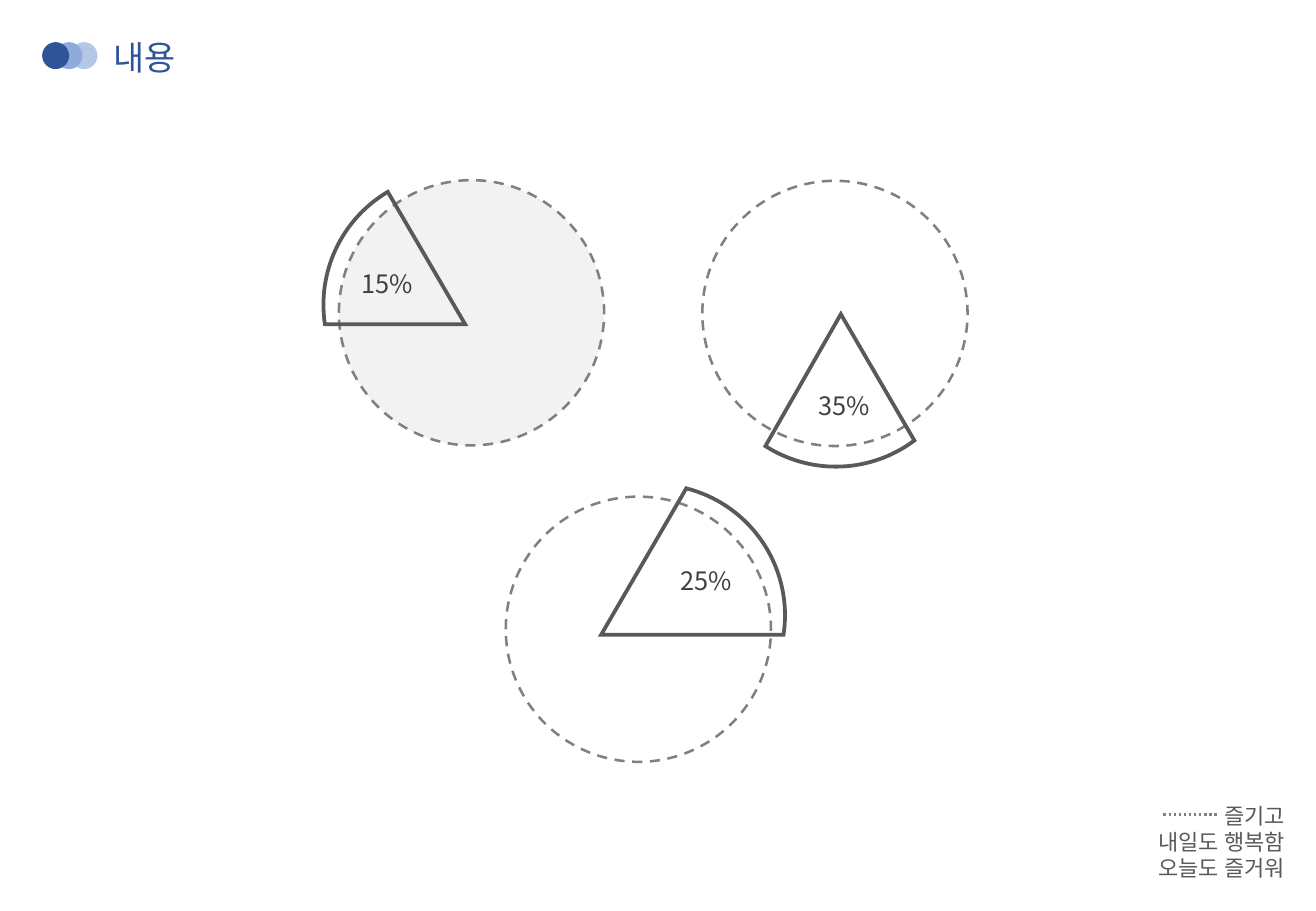
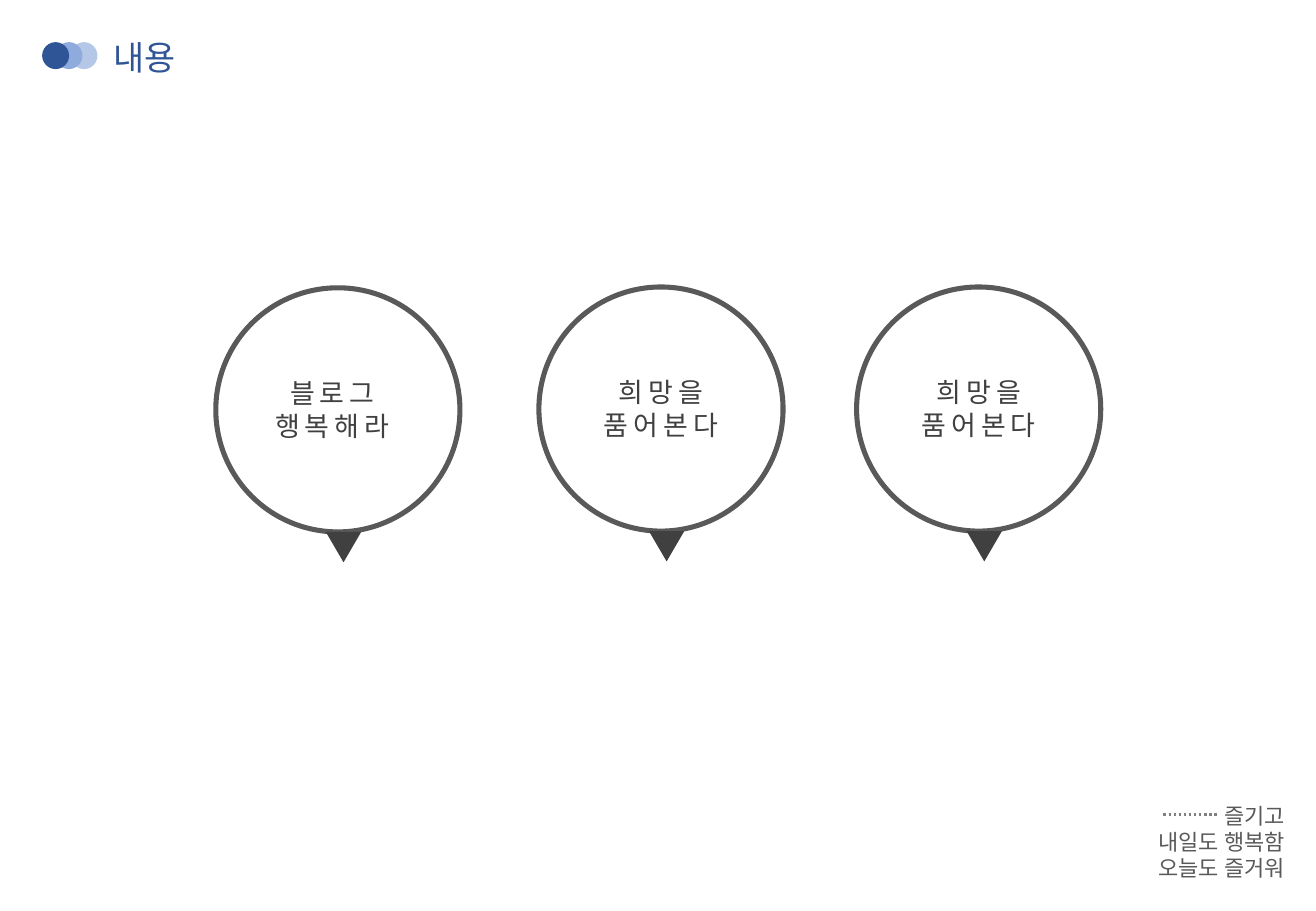
"""Build two slides: three circles with percentage wedges, and three speech circles."""
from itertools import pairwise
from math import cos, radians, sin, tan

from lxml.etree import SubElement
from pptx import Presentation
from pptx.dml.color import RGBColor
from pptx.enum.dml import MSO_LINE_DASH_STYLE as Dash
from pptx.enum.lang import MSO_LANGUAGE_ID as Language
from pptx.enum.shapes import MSO_CONNECTOR, MSO_SHAPE as Preset
from pptx.enum.text import MSO_AUTO_SIZE as AutoSize, PP_ALIGN as Align
from pptx.oxml.ns import qn
from pptx.util import Pt

FONT = "Noto Sans CJK KR"
COLORS = {
    "navy": "2F5597",
    "blue": "8FAADC",
    "pale_blue": "B4C7E7",
    "charcoal": "404040",
    "dark_gray": "595959",
    "gray": "808080",
    "light_gray": "F2F2F2",
}
STYLES = {
    "title": {"size": 20, "color": "navy", "paragraph": {"alignment": Align.LEFT}},
    "footer": {"size": 13, "color": "dark_gray", "paragraph": {"alignment": Align.RIGHT}},
    "percent": {"size": 15, "color": "charcoal",
                "paragraph": {"alignment": Align.CENTER, "line_spacing": 1.5}},
    "message": {"size": 16, "color": "charcoal", "spacing": 300,
                "paragraph": {"alignment": Align.CENTER}},
}


def paint(shape, fill=None, line=None, width=0, dash=None):
    shape.shadow.inherit = False
    if fill:
        shape.fill.solid()
        shape.fill.fore_color.rgb = RGBColor.from_string(COLORS[fill])
    else:
        shape.fill.background()
    if line:
        shape.line.color.rgb = RGBColor.from_string(COLORS[line])
        shape.line.width = Pt(width)
        shape.line.dash_style = dash
    else:
        shape.line.fill.background()


def write(slide, left, top, width, height, lines, style):
    frame = slide.shapes.add_textbox(Pt(left), Pt(top), Pt(width), Pt(height)).text_frame
    frame.word_wrap = True
    frame.auto_size = AutoSize.SHAPE_TO_FIT_TEXT
    font_format = {"name": FONT, "size": Pt(style["size"]), "language_id": Language.KOREAN}
    for number, text in enumerate(lines):
        paragraph = frame.add_paragraph() if number else frame.paragraphs[0]
        for key, value in style["paragraph"].items():
            setattr(paragraph, key, value)
        run = paragraph.add_run()
        run.text = text
        for key, value in font_format.items():
            setattr(run.font, key, value)
        run.font.color.rgb = RGBColor.from_string(COLORS[style["color"]])
        properties = run._r.get_or_add_rPr()
        SubElement(properties, qn("a:ea"), typeface=FONT)
        if "spacing" in style:
            properties.set("spc", str(style["spacing"]))


deck = Presentation()
deck.slide_width, deck.slide_height = Pt(780), Pt(540)
wedge_slide, message_slide = [deck.slides.add_slide(deck.slide_layouts[6]) for _ in range(2)]

for slide in (wedge_slide, message_slide):
    for left, color in ((41.8, "pale_blue"), (32.9, "blue"), (25, "navy")):
        dot = slide.shapes.add_shape(Preset.OVAL, Pt(left), Pt(25), Pt(16), Pt(16))
        paint(dot, color)
    write(slide, 60.3, 18, 377, 31.5, ["내용"], STYLES["title"])
    write(slide, 654.9, 471.9, 113.8, 54.7,
          ["즐기고", "내일도 행복함", "오늘도 즐거워"], STYLES["footer"])
    footer_rule = slide.shapes.add_connector(
        MSO_CONNECTOR.STRAIGHT, Pt(689.6), Pt(482.8), Pt(721.6), Pt(482.8))
    footer_rule.line.color.rgb = RGBColor.from_string(COLORS["gray"])
    footer_rule.line.width = Pt(1.5)
    footer_rule.line.dash_style = Dash.ROUND_DOT
    SubElement(footer_rule._element.spPr, qn("a:effectLst"))

CIRCLE_SIZE = 157.2
ARC_RADIUS = 77.7
wedges = [
    {"circle": (200.9, 106.8), "fill": "light_gray", "apex": (275.7, 192.2),
     "center": (269.4, 180.6), "angles": (171.4, 180, 239.4),
     "label": "15%", "label_at": (169.2, 146.5)},
    {"circle": (416.3, 107.2), "fill": None, "apex": (498.4, 186.2),
     "center": (495.4, 198.9), "angles": (53.2, 90, 122.5),
     "label": "35%", "label_at": (439.9, 218.9)},
    {"circle": (299.8, 294.4), "fill": None, "apex": (356.3, 376.3),
     "center": (387.6, 364.8), "angles": (-75.7, 0, 8.5),
     "label": "25%", "label_at": (358.3, 322.6)},
]
for wedge in wedges:
    left, top = wedge["circle"]
    circle = wedge_slide.shapes.add_shape(
        Preset.OVAL, Pt(left), Pt(top), Pt(CIRCLE_SIZE), Pt(CIRCLE_SIZE))
    paint(circle, wedge["fill"], "gray", 1.5, Dash.DASH)

    center_x, center_y = wedge["center"]
    angles = [radians(angle) for angle in wedge["angles"]]
    arc = [(cos(angles[0]), sin(angles[0]))]
    for start, end in pairwise(angles):
        pull = 4 / 3 * tan((end - start) / 4)
        arc += [(cos(start) - pull * sin(start), sin(start) + pull * cos(start)),
                (cos(end) + pull * sin(end), sin(end) - pull * cos(end)),
                (cos(end), sin(end))]
    apex_x, apex_y = wedge["apex"]
    builder = wedge_slide.shapes.build_freeform(Pt(apex_x), Pt(apex_y))
    builder.add_line_segments(
        [(Pt(center_x + ARC_RADIUS * x), Pt(center_y + ARC_RADIUS * y)) for x, y in arc])
    sector = builder.convert_to_shape()
    paint(sector, None, "dark_gray", 2.25)
    SubElement(sector.line._get_or_add_ln(), qn("a:miter"), lim="800000")

    outline = next(sector._element.iter(qn("a:path")))
    segments = outline.findall(qn("a:lnTo"))[1:]
    for first in range(0, len(segments), 3):
        curve = SubElement(outline, qn("a:cubicBezTo"))
        for segment in segments[first:first + 3]:
            curve.append(segment[0])
            outline.remove(segment)
    for closing in outline.findall(qn("a:close")):
        outline.remove(closing)
    SubElement(outline, qn("a:close"))

    write(wedge_slide, *wedge["label_at"], 121, 34.6, [wedge["label"]], STYLES["percent"])

BUBBLE_SIZE = 144.7
hope = ["희망을", "품어본다"]
bubbles = [
    (127.9, 170.6, 115.6, ["블로그", "행복해라"]),
    (319.4, 170.1, 310.4, hope),
    (507.7, 170.1, 498.8, hope),
]
for left, top, message_left, message in bubbles:
    bubble = message_slide.shapes.add_shape(
        Preset.OVAL, Pt(left), Pt(top), Pt(BUBBLE_SIZE), Pt(BUBBLE_SIZE))
    paint(bubble, None, "dark_gray", 3)
    pointer = message_slide.shapes.add_shape(
        Preset.ISOSCELES_TRIANGLE, Pt(left + 65.2), Pt(top + BUBBLE_SIZE), Pt(21), Pt(18))
    pointer.rotation = 180
    paint(pointer, "charcoal")
    write(message_slide, message_left, top + 49.2, 162.7, 46, message, STYLES["message"])

deck.save("out.pptx")
